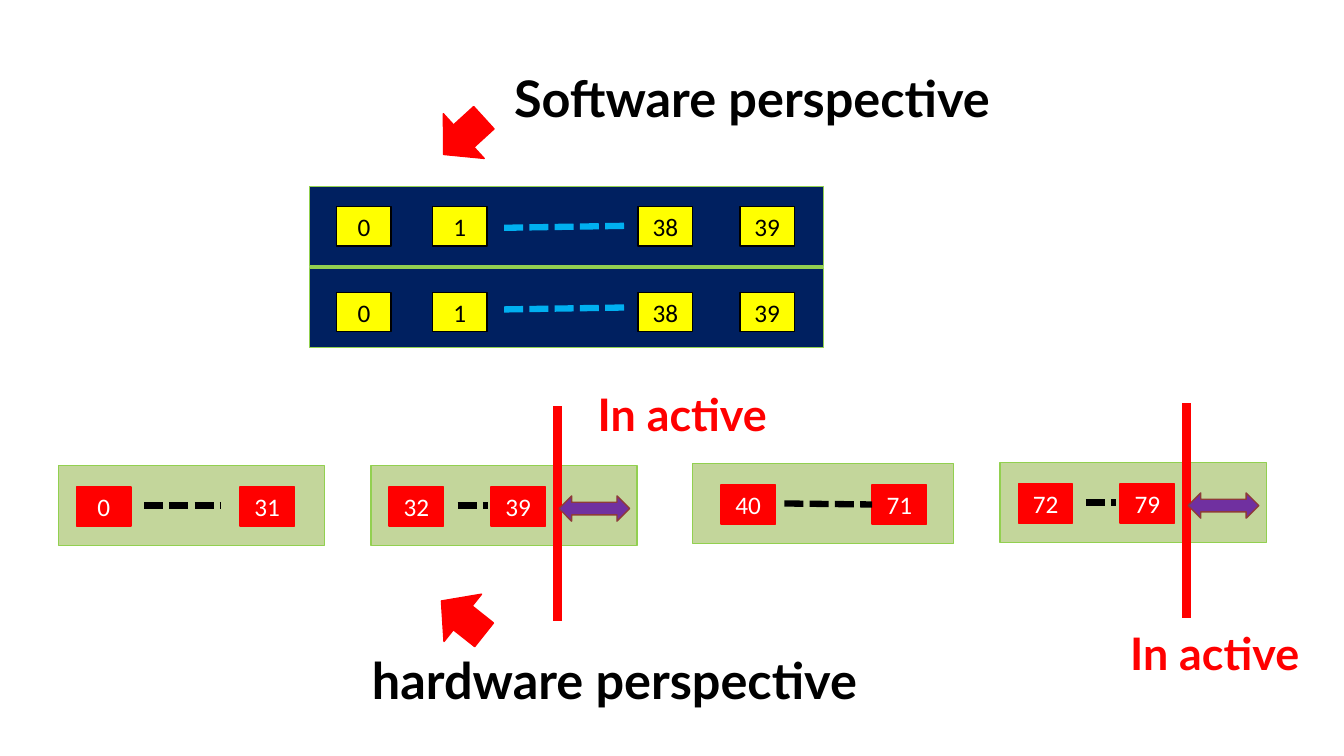
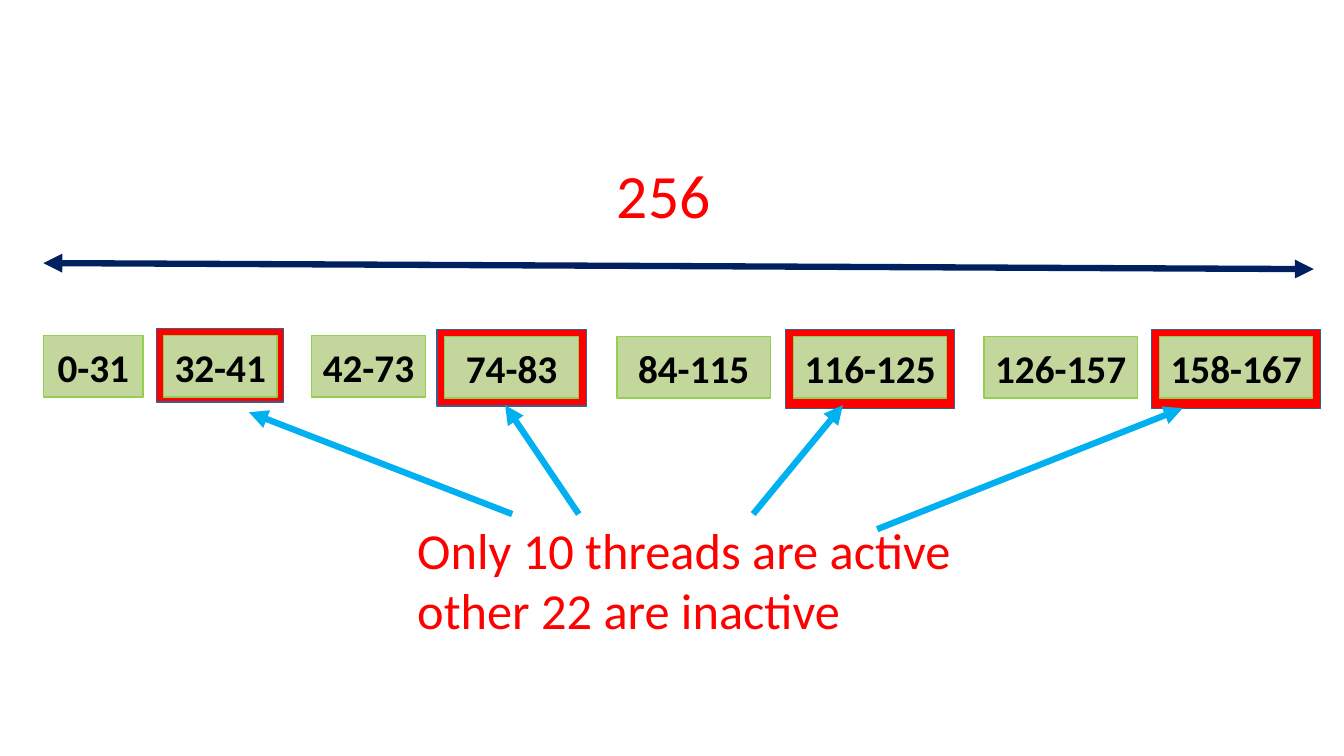
from dataclasses import dataclass
from typing import NamedTuple, Optional

from lxml.etree import SubElement
from pptx import Presentation
from pptx.dml.color import RGBColor
from pptx.enum.dml import MSO_LINE
from pptx.enum.shapes import MSO_CONNECTOR, MSO_SHAPE
from pptx.enum.text import MSO_ANCHOR, PP_ALIGN
from pptx.oxml.ns import qn
from pptx.shapes.autoshape import Shape
from pptx.shapes.connector import Connector
from pptx.slide import Slide
from pptx.util import Emu, Inches, Pt

# Slide size; all positions are columns and rows of a grid of tenths of an inch
SLIDE_WIDTH, SLIDE_HEIGHT = Inches(13.33), Inches(7.5)
GRID_ROWS = 75
UNIT = SLIDE_HEIGHT // GRID_ROWS


def grid(steps: float) -> Emu:
    return Emu(round(steps * UNIT))


@dataclass(frozen=True)
class Theme:
    black: str = "000000"
    white: str = "FFFFFF"
    red: str = "FF0000"
    yellow: str = "FFFF00"
    navy: str = "002060"
    sky: str = "00B0F0"
    sage: str = "C3D69B"
    green: str = "92D050"
    purple: str = "7030A0"
    maroon: str = "8E3B39"
    steel: str = "3A5F8C"
    body_font: str = "Calibri"
    heading_font: str = "Lato"
    cell_size: float = 18
    range_size: float = 28
    label_size: float = 32
    heading_size: float = 36
    total_size: float = 44
    thin: float = 1
    thick: float = 4.5
    divider: float = 6


THEME = Theme()


class Area(NamedTuple):
    column: float
    row: float
    columns: float
    rows: float


class TextStyle(NamedTuple):
    size: float
    color: str
    font: str = THEME.body_font
    bold: bool = False


class Paint(NamedTuple):
    fill: str
    line: str


HEADING = TextStyle(THEME.heading_size, THEME.black, THEME.heading_font, True)
INACTIVE = TextStyle(THEME.label_size, THEME.red, THEME.heading_font, True)
BLOCK_TEXT = TextStyle(THEME.cell_size, THEME.black)
WARP_TEXT = TextStyle(THEME.cell_size, THEME.white)
RANGE_TEXT = TextStyle(THEME.range_size, THEME.black, bold=True)
TOTAL_TEXT = TextStyle(THEME.total_size, THEME.red)
NOTE_TEXT = TextStyle(THEME.heading_size, THEME.red)

BLOCK_PAINT = Paint(THEME.navy, THEME.green)
BLOCK_CELL = Paint(THEME.yellow, THEME.black)
WARP_PAINT = Paint(THEME.sage, THEME.green)
RED_PAINT = Paint(THEME.red, THEME.red)
SPAN_PAINT = Paint(THEME.purple, THEME.maroon)
HIGHLIGHT = Paint(THEME.red, THEME.steel)
CELL_WIDTH, CELL_HEIGHT = 5.4, 3.9
PANEL_HEIGHT = 7.9


# Drawing helpers
def add_run(shape: Shape, text: str, style: TextStyle, align: PP_ALIGN) -> None:
    paragraph = shape.text_frame.paragraphs[0]
    paragraph.alignment = align
    run = paragraph.add_run()
    run.text = text
    run.font.size = Pt(style.size)
    run.font.name = style.font
    run.font.bold = style.bold
    run.font.color.rgb = RGBColor.from_string(style.color)


def add_box(slide: Slide, area: Area, paint: Paint, text: str = "",
            style: TextStyle = BLOCK_TEXT, kind: MSO_SHAPE = MSO_SHAPE.RECTANGLE,
            rotation: float = 0) -> Shape:
    shape = slide.shapes.add_shape(kind, *map(grid, area))
    shape.shadow.inherit = False
    shape.rotation = rotation
    shape.fill.solid()
    shape.fill.fore_color.rgb = RGBColor.from_string(paint.fill)
    shape.line.color.rgb = RGBColor.from_string(paint.line)
    shape.line.width = Pt(THEME.thin)
    if text:
        frame = shape.text_frame
        frame.margin_left = frame.margin_right = 0
        frame.vertical_anchor = MSO_ANCHOR.MIDDLE
        add_run(shape, text, style, PP_ALIGN.CENTER)
    return shape


def add_label(slide: Slide, area: Area, text: str, style: TextStyle) -> None:
    shape = slide.shapes.add_textbox(*map(grid, area))
    shape.text_frame.word_wrap = True
    add_run(shape, text, style, PP_ALIGN.LEFT)


def add_line(slide: Slide, start: tuple[float, float], end: tuple[float, float],
             color: str, width: float = THEME.thick, dashed: bool = False,
             arrowheads: tuple[str, ...] = ()) -> Connector:
    connector = slide.shapes.add_connector(
        MSO_CONNECTOR.STRAIGHT, *map(grid, (*start, *end)))
    connector.line.color.rgb = RGBColor.from_string(color)
    connector.line.width = Pt(width)
    if dashed:
        connector.line.dash_style = MSO_LINE.SQUARE_DOT
    for arrowhead in arrowheads:
        SubElement(connector.line._get_or_add_ln(), qn(arrowhead), type="triangle")
    SubElement(connector._element.spPr, qn("a:effectLst"))
    return connector


# Slide 1: thread blocks above, warps below
class Block(NamedTuple):
    row: float
    cell_drop: float


class Warp(NamedTuple):
    column: float
    row: float
    columns: float
    first: tuple[str, float]
    last: tuple[str, float]
    dash: tuple[float, float]
    partial: bool = False
    joined: bool = False


class Heading(NamedTuple):
    text: str
    area: Area
    pointer: Area
    rotation: float


BLOCK_COLUMN, BLOCK_COLUMNS = 30.7, 51
BLOCK_CELLS = (("0", 2.7), ("1", 12.2), ("38", 32.6), ("39", 42.7))
BLOCKS = (Block(18.5, 2), Block(26.6, 2.4))
WARPS = (
    Warp(5.8, 46.2, 26.4, ("0", 1.8), ("31", 18), (8.5, 16.1)),
    Warp(36.8, 46.2, 26.4, ("32", 1.8), ("39", 11.9), (8.6, 11.6), partial=True),
    Warp(68.7, 46, 25.9, ("40", 2.8), ("71", 17.8), (9.1, 17.8), joined=True),
    Warp(99.2, 45.9, 26.4, ("72", 1.8), ("79", 11.9), (8.5, 11.5), partial=True),
)
HEADINGS = (
    Heading("Software perspective", Area(50, 6.2, 56.8, 7.1),
            Area(43.3, 10.5, 5.4, 6), 317.6),
    Heading("hardware perspective", Area(35.9, 63.9, 56.8, 7.1),
            Area(43.2, 58.3, 5.4, 6), 38.4),
)
INACTIVE_AREAS = (Area(58.3, 37.9, 24.8, 6.4), Area(111.1, 61.6, 24.8, 6.4))


def draw_block(slide: Slide, block: Block) -> None:
    add_box(slide, Area(BLOCK_COLUMN, block.row, BLOCK_COLUMNS, PANEL_HEIGHT), BLOCK_PAINT)
    for text, offset in BLOCK_CELLS:
        area = Area(BLOCK_COLUMN + offset, block.row + block.cell_drop,
                    CELL_WIDTH, CELL_HEIGHT)
        add_box(slide, area, BLOCK_CELL, text)
    add_line(slide, (BLOCK_COLUMN + 19.3, block.row + 4.1),
             (BLOCK_COLUMN + 31.6, block.row + 3.9), THEME.sky, dashed=True)


def draw_warp(slide: Slide, warp: Warp) -> None:
    add_box(slide, Area(warp.column, warp.row, warp.columns, PANEL_HEIGHT), WARP_PAINT)
    for text, offset in (warp.first, warp.last):
        area = Area(warp.column + offset, warp.row + 2.1, CELL_WIDTH, CELL_HEIGHT)
        cell = add_box(slide, area, RED_PAINT, text, WARP_TEXT)
    start, end = ((warp.column + offset, warp.row + 3.95) for offset in warp.dash)
    dash = add_line(slide, start, end, THEME.black, dashed=True)
    if warp.joined:
        dash.end_connect(cell, 1)
    if warp.partial:
        edge = warp.column + 18.5
        add_line(slide, (edge, warp.row - 5.9), (edge, warp.row + 15.4),
                 THEME.red, THEME.divider)
        add_box(slide, Area(edge + 0.15, warp.row + 3, 7, 2.5), SPAN_PAINT,
                kind=MSO_SHAPE.LEFT_RIGHT_ARROW)


def draw_perspectives(slide: Slide) -> None:
    for block in BLOCKS:
        draw_block(slide, block)
    for warp in WARPS:
        draw_warp(slide, warp)
    for heading in HEADINGS:
        add_label(slide, heading.area, heading.text, HEADING)
        add_box(slide, heading.pointer, RED_PAINT, kind=MSO_SHAPE.LEFT_ARROW,
                rotation=heading.rotation)
    for area in INACTIVE_AREAS:
        add_label(slide, area, "In active", INACTIVE)


# Slide 2: thread ranges, with the partly active ones framed in red
class Frame(NamedTuple):
    margin: float
    rows: float


class ThreadRange(NamedTuple):
    text: str
    column: float
    row: float
    columns: float
    frame: Optional[Frame] = None


RANGE_HEIGHT = 6.1
RANGES = (
    ThreadRange("0-31", 4.3, 33.3, 9.9),
    ThreadRange("32-41", 16.2, 33.3, 11.3, Frame(0.65, 7.3)),
    ThreadRange("42-73", 30.9, 33.3, 11.3),
    ThreadRange("74-83", 44.1, 33.4, 13.3, Frame(0.75, 7.6)),
    ThreadRange("84-115", 61.2, 33.4, 15.2),
    ThreadRange("116-125", 78.7, 33.4, 15.2, Frame(0.8, 7.8)),
    ThreadRange("126-157", 97.6, 33.4, 15.2),
    ThreadRange("158-167", 115, 33.4, 15.2, Frame(0.8, 7.8)),
)
NOTE_ARROWS = (
    ((50.8, 51), (24.7, 40.9)),
    ((57.4, 51), (50.1, 40.2)),
    ((74.7, 51), (83.6, 40.2)),
    ((87, 52.5), (117.3, 40.5)),
)


def draw_range(slide: Slide, item: ThreadRange) -> None:
    if item.frame:
        margin, rows = item.frame
        add_box(slide, Area(item.column - margin, item.row - 0.7,
                            item.columns + 2 * margin, rows), HIGHLIGHT)
    add_box(slide, Area(item.column, item.row, item.columns, RANGE_HEIGHT),
            WARP_PAINT, item.text, RANGE_TEXT)


def draw_ranges(slide: Slide) -> None:
    for item in RANGES:
        draw_range(slide, item)
    add_line(slide, (4.3, 26.1), (130.3, 26.7), THEME.navy,
             arrowheads=("a:headEnd", "a:tailEnd"))
    add_label(slide, Area(60.2, 15.1, 26.2, 8.4), "256", TOTAL_TEXT)
    add_label(slide, Area(40.4, 51, 63.7, 13.1),
              "Only 10 threads are active other 22 are inactive", NOTE_TEXT)
    for start, end in NOTE_ARROWS:
        add_line(slide, start, end, THEME.sky, arrowheads=("a:tailEnd",))


def main() -> None:
    presentation = Presentation()
    presentation.slide_width, presentation.slide_height = SLIDE_WIDTH, SLIDE_HEIGHT
    blank_layout = presentation.slide_layouts[6]
    for draw in (draw_perspectives, draw_ranges):
        draw(presentation.slides.add_slide(blank_layout))
    presentation.save("out.pptx")


if __name__ == "__main__":
    main()
